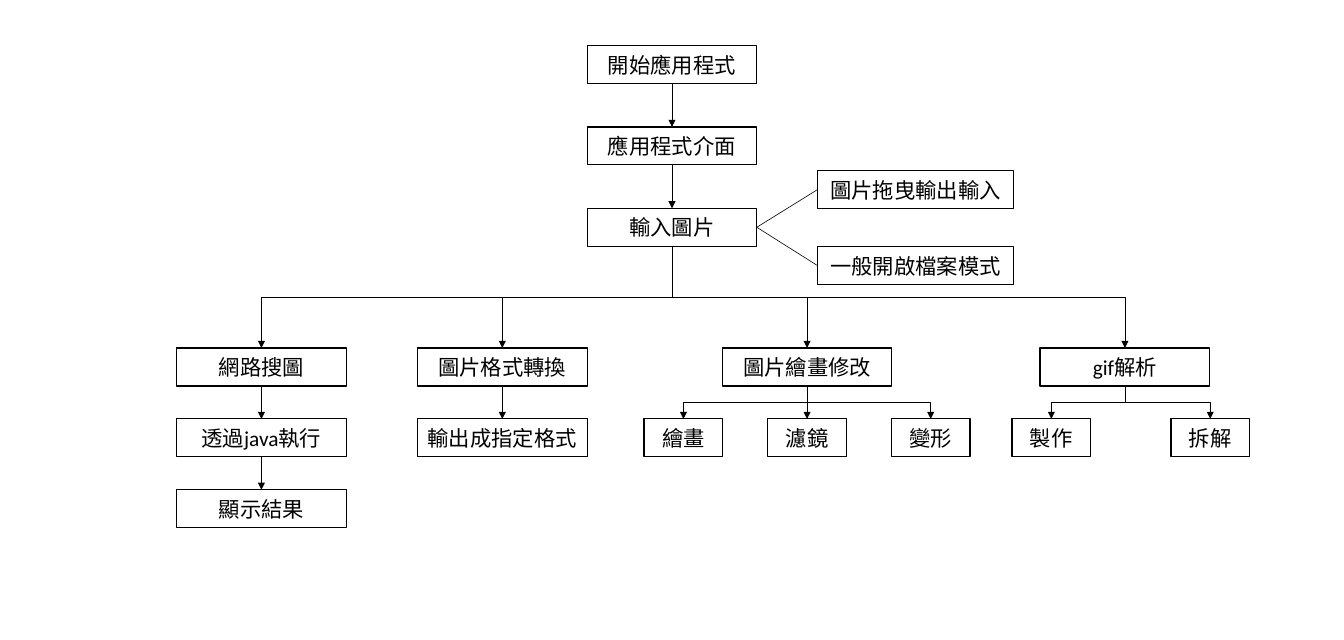
"""Build the flowchart of an image application on one slide."""
from lxml.etree import SubElement
from pptx import Presentation
from pptx.dml.color import RGBColor
from pptx.enum.shapes import MSO_CONNECTOR as Link, MSO_SHAPE
from pptx.enum.text import MSO_ANCHOR, PP_ALIGN
from pptx.oxml.ns import qn
from pptx.util import Cm, Pt

BLACK = RGBColor(0, 0, 0)
WHITE = RGBColor(255, 255, 255)
FONT = "Calibri"
BOX_HEIGHT = 1.13
STEP_WIDTH, OPTION_WIDTH, TOOL_WIDTH = 5.05, 5.84, 2.34

MAIN_X, SEARCH_X, CONVERT_X, EDIT_X, GIF_X = 20, 7.78, 14.95, 24.02, 33.48
OPTION_X = 27.25
TOOL_GAP = 3.68
main_rows = [1.36 + 2.42 * i for i in range(3)]
branch_rows = [10.36 + 2.11 * i for i in range(3)]
option_rows = [5.08, 7.34]

steps = [
    ("開始應用程式", MAIN_X, main_rows[0]),
    ("應用程式介面", MAIN_X, main_rows[1]),
    ("輸入圖片", MAIN_X, main_rows[2]),
    ("網路搜圖", SEARCH_X, branch_rows[0]),
    ("透過java執行", SEARCH_X, branch_rows[1]),
    ("顯示結果", SEARCH_X, branch_rows[2]),
    ("圖片格式轉換", CONVERT_X, branch_rows[0]),
    ("輸出成指定格式", CONVERT_X, branch_rows[1]),
    ("圖片繪畫修改", EDIT_X, branch_rows[0]),
    ("gif解析", GIF_X, branch_rows[0]),
]
options = [
    ("圖片拖曳輸出輸入", OPTION_X, option_rows[0]),
    ("一般開啟檔案模式", OPTION_X, option_rows[1]),
]
tools = [
    ("繪畫", EDIT_X - TOOL_GAP, branch_rows[1]),
    ("濾鏡", EDIT_X, branch_rows[1]),
    ("變形", EDIT_X + TOOL_GAP, branch_rows[1]),
    ("製作", 31.29, branch_rows[1]),
    ("拆解", 36.02, branch_rows[1]),
]
flows = {
    "開始應用程式": ["應用程式介面"],
    "應用程式介面": ["輸入圖片"],
    "輸入圖片": ["網路搜圖", "圖片格式轉換", "圖片繪畫修改", "gif解析"],
    "網路搜圖": ["透過java執行"],
    "透過java執行": ["顯示結果"],
    "圖片格式轉換": ["輸出成指定格式"],
    "圖片繪畫修改": ["繪畫", "濾鏡", "變形"],
    "gif解析": ["製作", "拆解"],
}


def add_box(label, center, top, width):
    box = slide.shapes.add_shape(MSO_SHAPE.RECTANGLE, Cm(center - width / 2),
                                 Cm(top), Cm(width), Cm(BOX_HEIGHT))
    box.shadow.inherit = False
    box.fill.solid()
    box.fill.fore_color.rgb = WHITE
    box.line.color.rgb = BLACK
    box.line.width = Pt(1)
    frame = box.text_frame
    frame.text = label
    frame.vertical_anchor = MSO_ANCHOR.MIDDLE
    paragraph = frame.paragraphs[0]
    paragraph.alignment = PP_ALIGN.CENTER
    font = paragraph.runs[0].font
    font.name, font.size, font.color.rgb = FONT, Pt(18), BLACK


def add_link(kind, x1, y1, x2, y2):
    link = slide.shapes.add_connector(kind, Cm(x1), Cm(y1), Cm(x2), Cm(y2))
    link.line.color.rgb = BLACK
    link.line.width = Pt(0.5)
    SubElement(link._element.spPr, qn("a:effectLst"))
    return link


def add_flow(x1, y1, x2, y2):
    if x1 == x2:
        arrow = add_link(Link.STRAIGHT, x1, y1, x2, y2)
    else:
        middle_x, middle_y = (x1 + x2) / 2, (y1 + y2) / 2
        half_drop, half_span = (y2 - y1) / 2, abs(x2 - x1) / 2
        side = 1 if x2 < x1 else -1
        arrow = add_link(Link.ELBOW,
                         middle_x - side * half_drop, middle_y - half_span,
                         middle_x + side * half_drop, middle_y + half_span)
        quarter_turn = 90 * 60000
        arrow._element.spPr.xfrm.set("rot", str(quarter_turn * (2 - side)))
    SubElement(arrow.line._get_or_add_ln(), qn("a:tailEnd"), type="triangle")


prs = Presentation()
prs.slide_width, prs.slide_height = Cm(40), Cm(19.05)
slide = prs.slides.add_slide(prs.slide_layouts[6])

for group, width in ((steps, STEP_WIDTH), (options, OPTION_WIDTH), (tools, TOOL_WIDTH)):
    for label, center, top in group:
        add_box(label, center, top, width)

places = {label: (center, top) for label, center, top in steps + tools}
for source, targets in flows.items():
    source_x, source_top = places[source]
    for target in targets:
        add_flow(source_x, source_top + BOX_HEIGHT, *places[target])

for _, center, top in options:
    add_link(Link.STRAIGHT, MAIN_X + STEP_WIDTH / 2, main_rows[2] + BOX_HEIGHT / 2,
             center - OPTION_WIDTH / 2, top + BOX_HEIGHT / 2)

prs.save("out.pptx")
